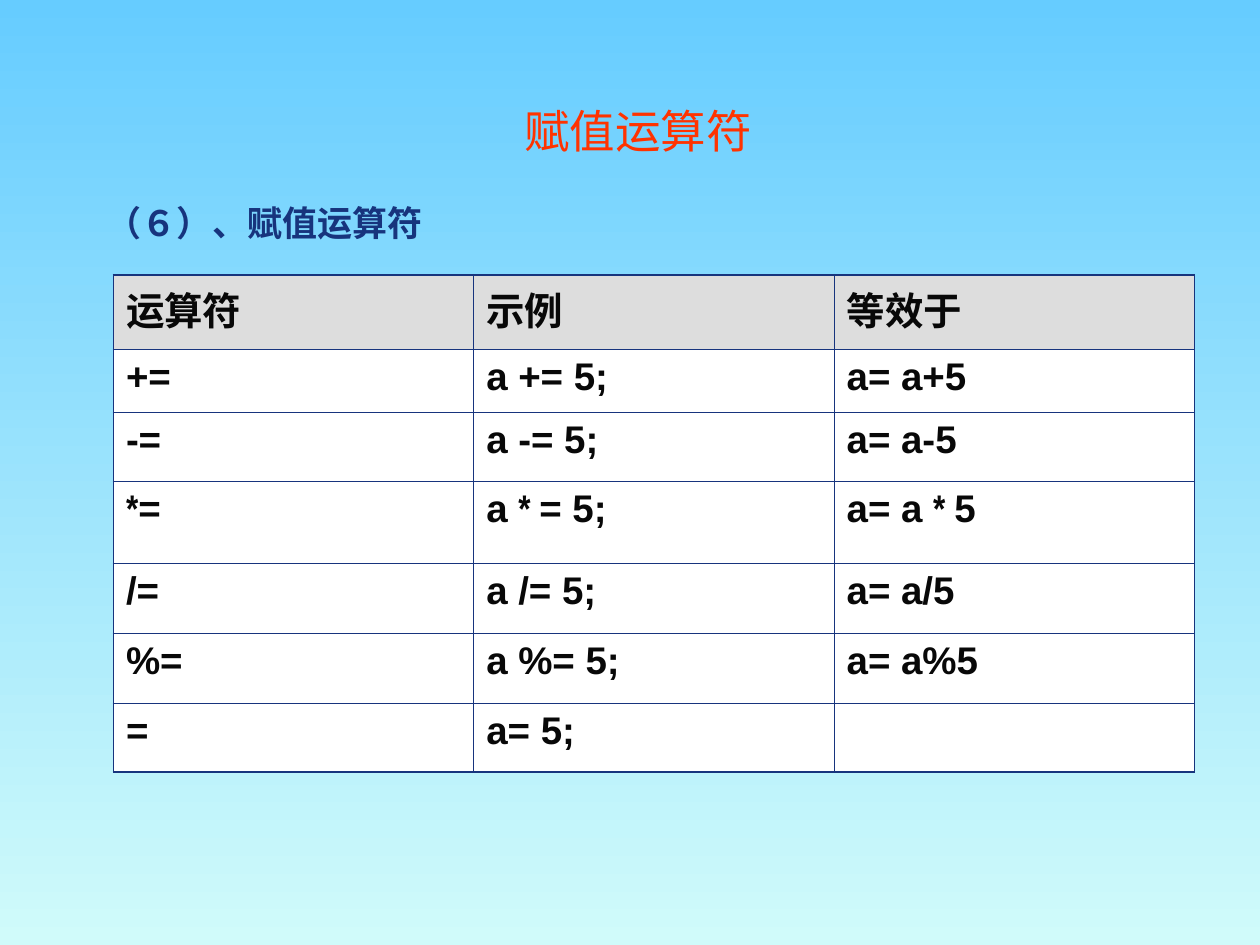
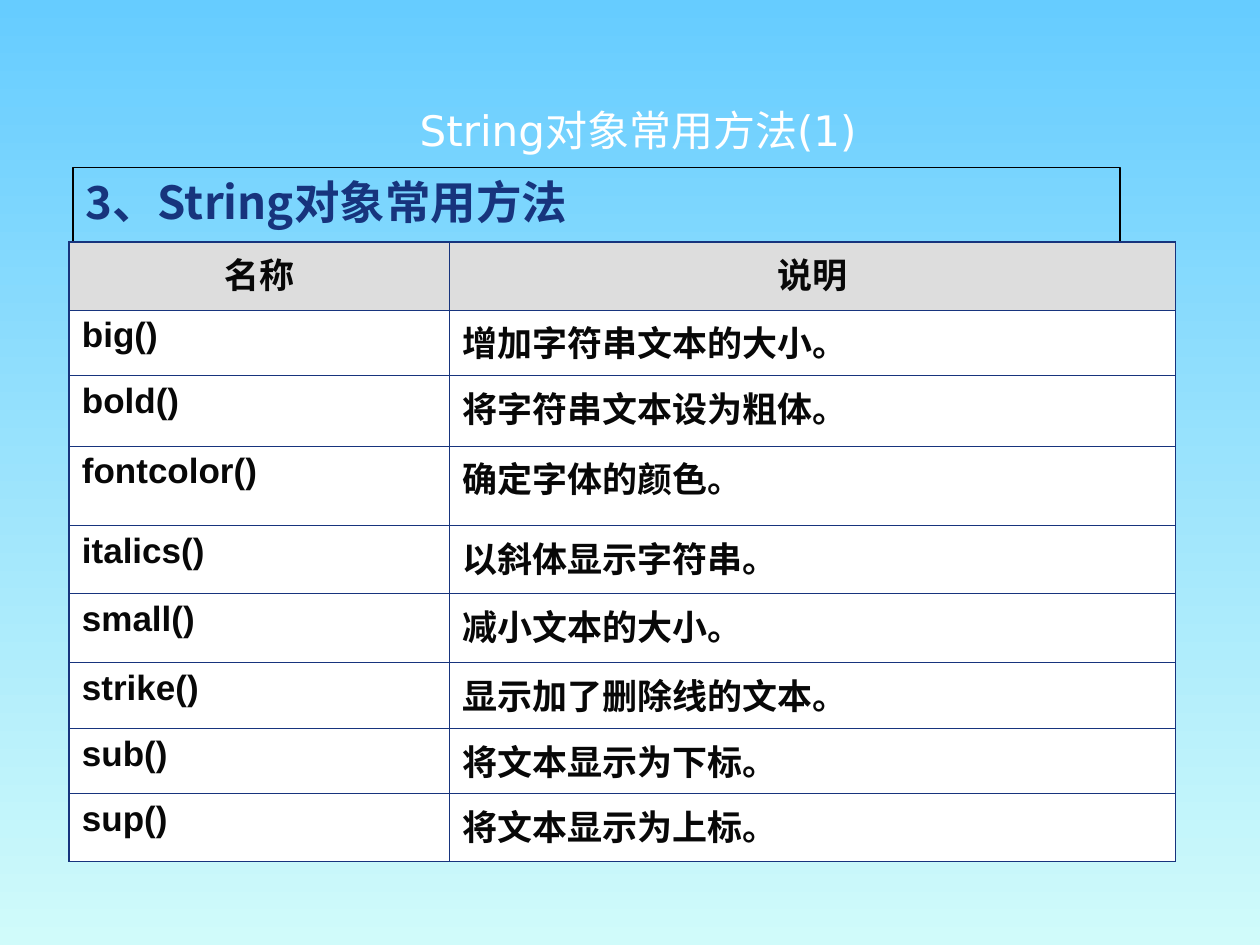
from lxml.etree import SubElement
from pptx import Presentation
from pptx.dml.color import RGBColor
from pptx.enum.shapes import MSO_SHAPE
from pptx.enum.text import MSO_ANCHOR, PP_ALIGN
from pptx.oxml.ns import qn
from pptx.util import Inches, Pt

SKY = RGBColor(0x66, 0xCC, 0xFF)
MINT = RGBColor(0xD0, 0xFB, 0xFA)
NAVY = RGBColor(0x17, 0x34, 0x7D)
RED = RGBColor(0xFF, 0x33, 0x00)
WHITE = RGBColor(0xFF, 0xFF, 0xFF)
BLACK = RGBColor(0x00, 0x00, 0x00)
INK = RGBColor(0x08, 0x08, 0x08)
GREY = RGBColor(0xDD, 0xDD, 0xDD)
CJK_FONT = "Noto Sans CJK SC"
OUTER, INNER = Pt(1.08), Pt(0.45)


def add_run(p, text, size, font, color, bold=True):
    r = p.add_run()
    r.text = text
    r.font.size = Pt(size)
    r.font.bold = bold
    r.font.color.rgb = color
    r.font.name = font
    SubElement(r.font._element, qn("a:ea"), typeface=CJK_FONT)


def add_border(cell, side, width):
    ln = SubElement(cell._tc.get_or_add_tcPr(), qn(f"a:ln{side}"), w=str(width))
    fill = SubElement(ln, qn("a:solidFill"))
    SubElement(fill, qn("a:srgbClr"), val=str(NAVY))


slides = [
    {
        "title": ("赋值运算符", 26, RED),
        "heading": ("（６）、赋值运算符", 20, "Arial"),
        "heading_box": (0.75, 1.55, 8.82, 0.6),
        "framed": False,
        "table_at": (0.9, 2.18),
        "cols": [2.86, 2.86, 2.86],
        "rows": [0.59, 0.5, 0.55, 0.65, 0.56, 0.55, 0.55],
        "size": 22,
        "aligns": (PP_ALIGN.LEFT, PP_ALIGN.LEFT),
        "cells": [
            ["运算符", "示例", "等效于"],
            ["+=", "a += 5;", "a= a+5"],
            ["-=", "a -= 5;", "a= a-5"],
            [("*", "="), ("a ", "* ", "= 5;"), ("a= a ", "* ", "5")],
            ["/=", "a /= 5;", "a= a/5"],
            ["%=", "a %= 5;", "a= a%5"],
            ["=", "a= 5;", ()],
        ],
    },
    {
        "title": ("String对象常用方法(1)", 24, WHITE),
        "heading": ("3、String对象常用方法", 26, CJK_FONT),
        "heading_box": (0.58, 1.33, 8.31, 0.83),
        "framed": True,
        "table_at": (0.55, 1.92),
        "cols": [3.02, 5.76],
        "rows": [0.54, 0.52, 0.56, 0.63, 0.54, 0.55, 0.52, 0.52, 0.54],
        "size": 20,
        "aligns": (PP_ALIGN.CENTER, PP_ALIGN.JUSTIFY),
        "cells": [
            ["名称", "说明"],
            ["big()", "增加字符串文本的大小。"],
            ["bold()", "将字符串文本设为粗体。"],
            ["fontcolor()", "确定字体的颜色。"],
            ["italics()", "以斜体显示字符串。"],
            ["small()", "减小文本的大小。"],
            ["strike()", "显示加了删除线的文本。"],
            ["sub()", "将文本显示为下标。"],
            ["sup()", "将文本显示为上标。"],
        ],
    },
]

prs = Presentation()
prs.slide_width, prs.slide_height = Inches(10), Inches(7.5)

background = prs.slide_master.background.fill
background.gradient()
background.gradient_angle = 270
for stop, color, position in zip(background.gradient_stops, (SKY, MINT), (0, 1)):
    stop.color.rgb = color
    stop.position = position

for data in slides:
    s = prs.slides.add_slide(prs.slide_layouts[6])

    title, size, color = data["title"]
    sp = s.shapes.add_textbox(Inches(0.8), Inches(0.72), Inches(8.53), Inches(0.62))
    tf = sp.text_frame
    tf.word_wrap = True
    tf.vertical_anchor = MSO_ANCHOR.MIDDLE
    tf.margin_left = tf.margin_right = tf.margin_top = tf.margin_bottom = 0
    p = tf.paragraphs[0]
    p.alignment = PP_ALIGN.CENTER
    add_run(p, title, size, "DejaVu Sans", color, bold=False)

    box = [Inches(v) for v in data["heading_box"]]
    if data["framed"]:
        sp = s.shapes.add_shape(MSO_SHAPE.RECTANGLE, *box)
        sp.shadow.inherit = False
        sp.fill.background()
        sp.line.color.rgb = BLACK
        sp.line.width = Pt(0.75)
    else:
        sp = s.shapes.add_textbox(*box)
    tf = sp.text_frame
    tf.word_wrap = True
    tf.vertical_anchor = MSO_ANCHOR.TOP
    p = tf.paragraphs[0]
    p.alignment = PP_ALIGN.LEFT
    heading, size, font = data["heading"]
    add_run(p, heading, size, font, NAVY)

    cols, rows = data["cols"], data["rows"]
    left, top = data["table_at"]
    table = s.shapes.add_table(
        len(rows), len(cols), Inches(left), Inches(top),
        Inches(sum(cols)), Inches(sum(rows)),
    ).table
    table.first_row = table.horz_banding = False
    for column, width in zip(table.columns, cols):
        column.width = Inches(width)
    for row, height in zip(table.rows, rows):
        row.height = Inches(height)

    head_align, body_align = data["aligns"]
    for i, values in enumerate(data["cells"]):
        for j, value in enumerate(values):
            cell = table.cell(i, j)
            edges = {"L": j == 0, "R": j == len(cols) - 1,
                     "T": i == 0, "B": i == len(rows) - 1}
            for side, is_outer in edges.items():
                add_border(cell, side, OUTER if is_outer else INNER)
            cell.fill.solid()
            cell.fill.fore_color.rgb = GREY if i == 0 else WHITE
            p = cell.text_frame.paragraphs[0]
            p.alignment = head_align if i == 0 else body_align
            pieces = (value,) if isinstance(value, str) else value
            for piece in pieces:
                font = "Arial Narrow" if piece.strip() == "*" else "Arial"
                add_run(p, piece, data["size"], font, INK)

prs.save("out.pptx")
